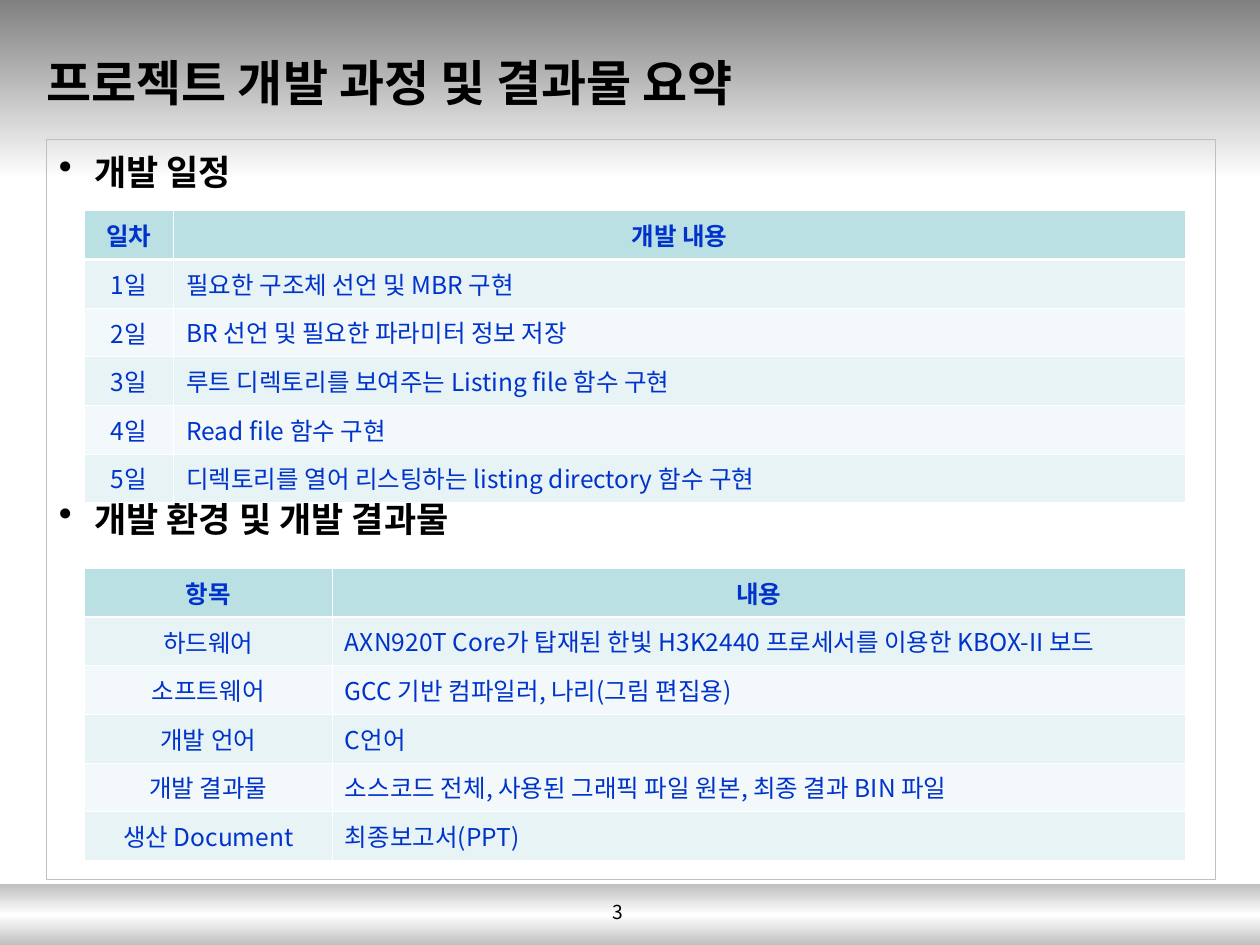
from lxml import etree
from pptx import Presentation
from pptx.dml.color import RGBColor
from pptx.enum.shapes import MSO_SHAPE
from pptx.enum.text import MSO_ANCHOR, MSO_AUTO_SIZE, PP_ALIGN
from pptx.oxml.ns import qn
from pptx.util import Cm, Pt

RECT = MSO_SHAPE.RECTANGLE
LEFT, CENTER = PP_ALIGN.LEFT, PP_ALIGN.CENTER
TOP, MIDDLE = MSO_ANCHOR.TOP, MSO_ANCHOR.MIDDLE
NO_FIT = MSO_AUTO_SIZE.NONE

BLACK = RGBColor(0x00, 0x00, 0x00)
WHITE = RGBColor(0xFF, 0xFF, 0xFF)
GRAY = RGBColor(0x80, 0x80, 0x80)
SILVER = RGBColor(0xC0, 0xC0, 0xC0)
EDGE = RGBColor(0xBF, 0xBF, 0xBF)
BLUE = RGBColor(0x00, 0x33, 0xCC)
HEAD = RGBColor(0xBB, 0xE0, 0xE3)
BANDS = (RGBColor(0xE7, 0xF3, 0xF4), RGBColor(0xF3, 0xF9, 0xFA))

FACE = "Noto Sans CJK KR"
ROW = 0.98
THIN, THICK = 0.45, 1.47

PLAN = [
    ("일차", "개발 내용"),
    ("1일", "필요한 구조체 선언 및 MBR 구현"),
    ("2일", "BR 선언 및 필요한 파라미터 정보 저장"),
    ("3일", "루트 디렉토리를 보여주는 Listing file 함수 구현"),
    ("4일", "Read file 함수 구현"),
    ("5일", "디렉토리를 열어 리스팅하는 listing directory 함수 구현"),
]
ITEMS = [
    ("항목", "내용"),
    ("하드웨어", "AXN920T Core가 탑재된 한빛 H3K2440 프로세서를 이용한 KBOX-II 보드"),
    ("소프트웨어", "GCC 기반 컴파일러, 나리(그림 편집용)"),
    ("개발 언어", "C언어"),
    ("개발 결과물", "소스코드 전체, 사용된 그래픽 파일 원본, 최종 결과 BIN 파일"),
    ("생산 Document", "최종보고서(PPT)"),
]


def add_node(parent, tag, **attrs):
    return etree.SubElement(parent, qn(tag), attrs)


def write(para, text, size, color=BLACK, bold=False, align=LEFT):
    para.alignment = align
    run = para.add_run()
    run.text = text
    look = {"name": FACE, "size": Pt(size), "bold": bold}
    for key, value in look.items():
        setattr(run.font, key, value)
    run.font.color.rgb = color
    add_node(run.font._element, "a:ea", typeface=FACE)


def add_band(slide, top, height, colors):
    """Draw a full-width strip, shaded downwards, behind everything else."""
    band = slide.shapes.add_shape(RECT, 0, Cm(top), Cm(25.4), Cm(height))
    band.shadow.inherit = False
    band.line.fill.background()
    band.fill.gradient()
    band.fill.gradient_angle = 270
    stops = band._element.spPr.find(".//" + qn("a:gsLst"))
    stops.clear()
    for i, color in enumerate(colors):
        stop = add_node(stops, "a:gs", pos=str(100000 * i // (len(colors) - 1)))
        add_node(stop, "a:srgbClr", val=str(color))
    slide.shapes._spTree.insert(2, band._element)


def set_title(slide, text):
    title = slide.shapes.title
    place = {"left": 0.69, "top": 0.94, "width": 22.86, "height": 1.68}
    for key, value in place.items():
        setattr(title, key, Cm(value))
    frame = title.text_frame
    frame.auto_size = NO_FIT
    frame.vertical_anchor = TOP
    write(frame.paragraphs[0], text, 28, bold=True)


def add_bullet(para, text, before):
    para.line_spacing = 1.1
    para.space_before = Pt(before)
    write(para, text, 20, bold=True)
    props = para._p.get_or_add_pPr()
    props.set("marL", str(Cm(0.71)))
    props.set("indent", str(-Cm(0.71)))
    tint = add_node(props, "a:buClr")
    add_node(tint, "a:srgbClr", val=str(BLACK))
    add_node(props, "a:buSzPct", val="110000")
    add_node(props, "a:buChar", char="•")


def add_panel(slide, heads):
    """Draw the outlined body; heads pairs each heading with its space before."""
    panel = slide.shapes.add_shape(RECT, Cm(0.94), Cm(2.82), Cm(23.57), Cm(14.91))
    panel.shadow.inherit = False
    panel.fill.background()
    panel.line.color.rgb = EDGE
    panel.line.width = Pt(0.75)
    frame = panel.text_frame
    frame.vertical_anchor = TOP
    for i, (text, before) in enumerate(heads):
        para = frame.add_paragraph() if i else frame.paragraphs[0]
        add_bullet(para, text, before)


def set_edges(cell, row):
    """Rule the cell in white, with a heavier line under the header row."""
    props = cell._tc.get_or_add_tcPr()
    widths = {"L": THIN, "R": THIN,
              "T": THICK if row == 1 else THIN,
              "B": THICK if row == 0 else THIN}
    for i, (side, width) in enumerate(widths.items()):
        edge = etree.Element(qn("a:ln" + side), w=str(Pt(width)))
        fill = add_node(edge, "a:solidFill")
        add_node(fill, "a:srgbClr", val=str(WHITE))
        props.insert(i, edge)


def add_grid(slide, top, widths, rows):
    shape = slide.shapes.add_table(len(rows), len(widths), Cm(1.7), Cm(top),
                                   Cm(sum(widths)), Cm(ROW * len(rows)))
    table = shape.table
    for col, width in zip(table.columns, widths):
        col.width = Cm(width)
    for r, texts in enumerate(rows):
        table.rows[r].height = Cm(ROW)
        for c, text in enumerate(texts):
            cell = table.cell(r, c)
            mid = r == 0 or c == 0
            cell.vertical_anchor = MIDDLE if mid else TOP
            cell.fill.solid()
            cell.fill.fore_color.rgb = BANDS[(r - 1) % 2] if r else HEAD
            write(cell.text_frame.paragraphs[0], text, 14, BLUE, r == 0,
                  CENTER if mid else LEFT)
            set_edges(cell, r)


def add_number(slide, text):
    box = slide.shapes.add_textbox(Cm(9.5), Cm(18.03), Cm(5.92), Cm(0.81))
    box.text_frame.word_wrap = True
    write(box.text_frame.paragraphs[0], text, 11, align=CENTER)


def main():
    deck = Presentation()
    deck.slide_width, deck.slide_height = Cm(25.4), Cm(19.05)
    slide = deck.slides.add_slide(deck.slide_layouts[5])
    add_band(slide, 0, 3.63, (GRAY, WHITE))
    add_band(slide, 17.83, 1.22, (SILVER, WHITE, SILVER))
    set_title(slide, "프로젝트 개발 과정 및 결과물 요약")
    add_panel(slide, [("개발 일정", 7.5), ("개발 환경 및 개발 결과물", 172)])
    add_number(slide, "3")
    add_grid(slide, 4.25, (1.8, 20.4), PLAN)
    add_grid(slide, 11.46, (5, 17.2), ITEMS)
    deck.save("out.pptx")


if __name__ == "__main__":
    main()
